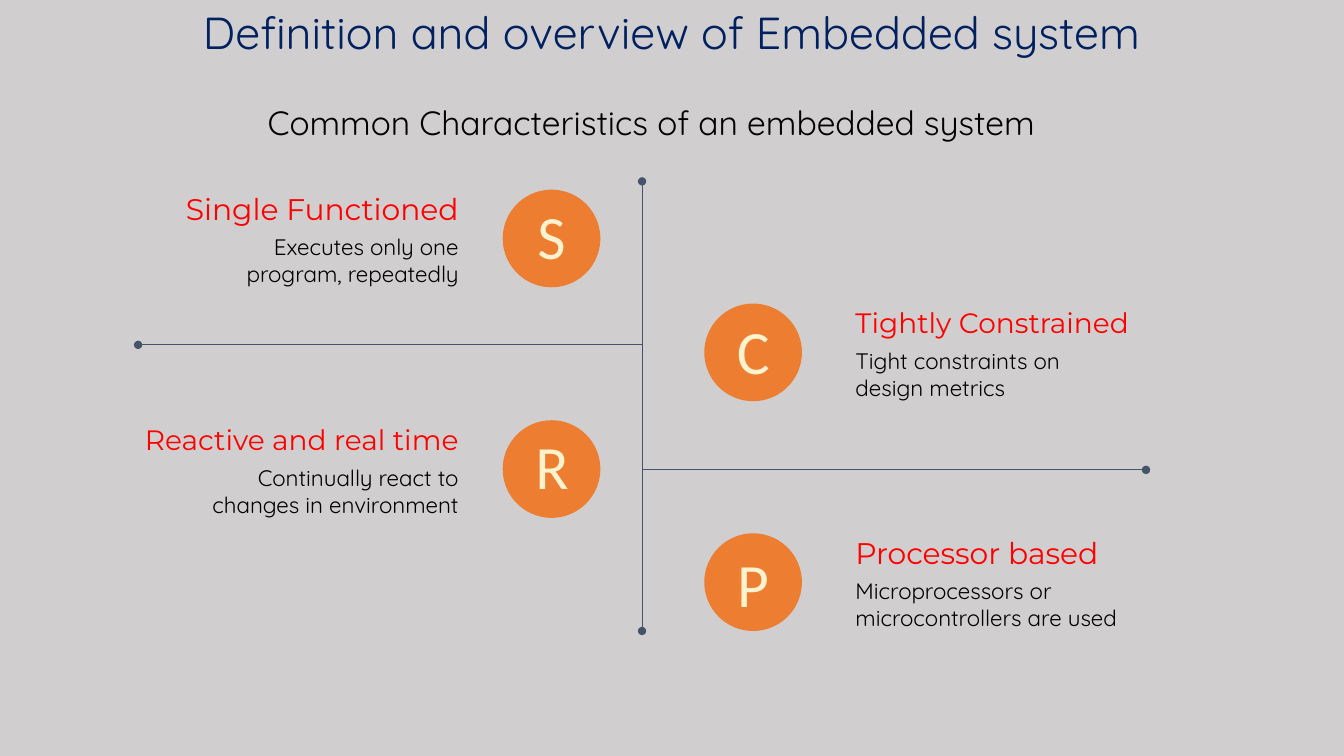
"""Build a slide on the four common characteristics of embedded systems."""
from dataclasses import dataclass
from typing import Optional

from lxml.etree import SubElement
from pptx import Presentation
from pptx.dml.color import RGBColor
from pptx.enum.shapes import MSO_CONNECTOR, MSO_SHAPE
from pptx.enum.text import MSO_ANCHOR as Anchor, MSO_AUTO_SIZE as AutoSize, PP_ALIGN as Align
from pptx.oxml.ns import qn
from pptx.slide import Slide
from pptx.util import Cm, Pt

COLORS = {
    "background": "D0CECE",
    "title": "002060",
    "text": "000000",
    "heading": "FF0000",
    "circle": "ED7D31",
    "letter": "FFF2CC",
    "line": "44546A",
}
DIAMETER = 2.46
INSET = 0.33
LETTER_WIDTH = 1.32
LEFT_CIRCLE, RIGHT_CIRCLE = 12.67, 17.75
LEFT_TEXT_END, RIGHT_TEXT_START = 11.89, 21.23
AXIS = 16.18


@dataclass
class Style:
    font: str
    size: float
    color: str
    align: Align = Align.LEFT
    anchor: Anchor = Anchor.TOP
    inset: Optional[float] = None
    grow: bool = False
    wrap: bool = True
    spacing: Optional[float] = None


@dataclass
class Characteristic:
    letter: str
    heading: str
    body: str
    on_left: bool
    top: float
    heading_width: float
    heading_size: float
    letter_drop: float
    body_width: float = 7.37


@dataclass
class Rule:
    x1: float
    y1: float
    x2: float
    y2: float
    dots: tuple[str, ...]


CHARACTERISTICS = [
    Characteristic("S", "Single Functioned", "Executes only one program, repeatedly",
                   True, 4.78, 7.92, 21.3, 0.08),
    Characteristic("C", "Tightly Constrained", "Tight constraints on design metrics",
                   False, 7.65, 8.38, 20, 0.1),
    Characteristic("R", "Reactive and real time", "Continually react to changes in environment",
                   True, 10.59, 9.5, 20, 0.08, 7.09),
    Characteristic("P", "Processor based", "Microprocessors or microcontrollers are used",
                   False, 13.44, 7.37, 21.3, 0.18),
]
RULES = [
    Rule(AXIS, 4.57, AXIS, 15.9, ("headEnd", "tailEnd")),
    Rule(3.48, 8.69, AXIS, 8.69, ("headEnd",)),
    Rule(AXIS, 11.84, 28.88, 11.84, ("tailEnd",)),
]
TITLE = Style("Quicksand", 32, "title", Align.CENTER, grow=True)
SUBTITLE = Style("Quicksand", 24, "text", Align.CENTER, inset=INSET, spacing=0.9)
LETTER = Style("Calibri", 44, "letter", Align.CENTER, grow=True, wrap=False)


def add_text(page: Slide, text: str, left: float, top: float, width: float,
             height: float, style: Style) -> None:
    """Add a one-paragraph text box, measured in centimetres."""
    box = page.shapes.add_textbox(Cm(left), Cm(top), Cm(width), Cm(height))
    frame = box.text_frame
    settings = {
        "word_wrap": style.wrap,
        "vertical_anchor": style.anchor,
        "auto_size": AutoSize.SHAPE_TO_FIT_TEXT if style.grow else AutoSize.NONE,
    }
    if style.inset is not None:
        for side in ("left", "top", "right", "bottom"):
            settings[f"margin_{side}"] = Cm(style.inset)
    for name, value in settings.items():
        setattr(frame, name, value)
    para = frame.paragraphs[0]
    para.alignment = style.align
    para.line_spacing = style.spacing
    span = para.add_run()
    span.text = text
    for name, value in {"name": style.font, "size": Pt(style.size)}.items():
        setattr(span.font, name, value)
    span.font.color.rgb = RGBColor.from_string(COLORS[style.color])


def add_circle(page: Slide, left: float, top: float) -> None:
    """Add one plain filled circle."""
    circle = page.shapes.add_shape(
        MSO_SHAPE.OVAL, Cm(left), Cm(top), Cm(DIAMETER), Cm(DIAMETER))
    circle.shadow.inherit = False
    circle.fill.solid()
    circle.fill.fore_color.rgb = RGBColor.from_string(COLORS["circle"])
    circle.line.fill.background()


def add_characteristic(page: Slide, item: Characteristic) -> None:
    """Add a lettered circle with its heading and description beside it."""
    circle_left = LEFT_CIRCLE if item.on_left else RIGHT_CIRCLE
    align = Align.RIGHT if item.on_left else Align.LEFT
    add_circle(page, circle_left, item.top)
    add_text(page, item.letter, circle_left + (DIAMETER - LETTER_WIDTH) / 2,
             item.top + item.letter_drop, LETTER_WIDTH, 2.13, LETTER)
    heading = Style("Montserrat", item.heading_size, "heading", align, Anchor.MIDDLE, INSET)
    body = Style("Quicksand", 16, "text", align, Anchor.MIDDLE, INSET)
    for text, offset, width, height, style in (
        (item.heading, -0.2, item.heading_width, 1.35, heading),
        (item.body, 0.88, item.body_width, 1.8, body),
    ):
        left = LEFT_TEXT_END - width if item.on_left else RIGHT_TEXT_START
        add_text(page, text, left, item.top + offset, width, height, style)


def add_rule(page: Slide, rule: Rule) -> None:
    """Add a thin line with round dots at the chosen ends."""
    connector = page.shapes.add_connector(
        MSO_CONNECTOR.STRAIGHT, Cm(rule.x1), Cm(rule.y1), Cm(rule.x2), Cm(rule.y2))
    connector.line.color.rgb = RGBColor.from_string(COLORS["line"])
    connector.line.width = Pt(0.75)
    outline = connector.line._get_or_add_ln()
    for dot in rule.dots:
        SubElement(outline, qn(f"a:{dot}"), type="oval")
    SubElement(connector._element.spPr, qn("a:effectLst"))


def main() -> None:
    """Assemble and save the deck."""
    deck = Presentation()
    deck.slide_width, deck.slide_height = Cm(33.87), Cm(19.05)
    page = deck.slides.add_slide(deck.slide_layouts[6])
    page.background.fill.solid()
    page.background.fill.fore_color.rgb = RGBColor.from_string(COLORS["background"])
    add_text(page, "Common Characteristics of an embedded system",
             1.68, 2.36, 29.46, 2.08, SUBTITLE)
    for item in CHARACTERISTICS:
        add_characteristic(page, item)
    for rule in RULES:
        add_rule(page, rule)
    add_text(page, "Definition and overview of Embedded system",
             0, 0, 33.87, 1.63, TITLE)
    deck.save("out.pptx")


if __name__ == "__main__":
    main()
